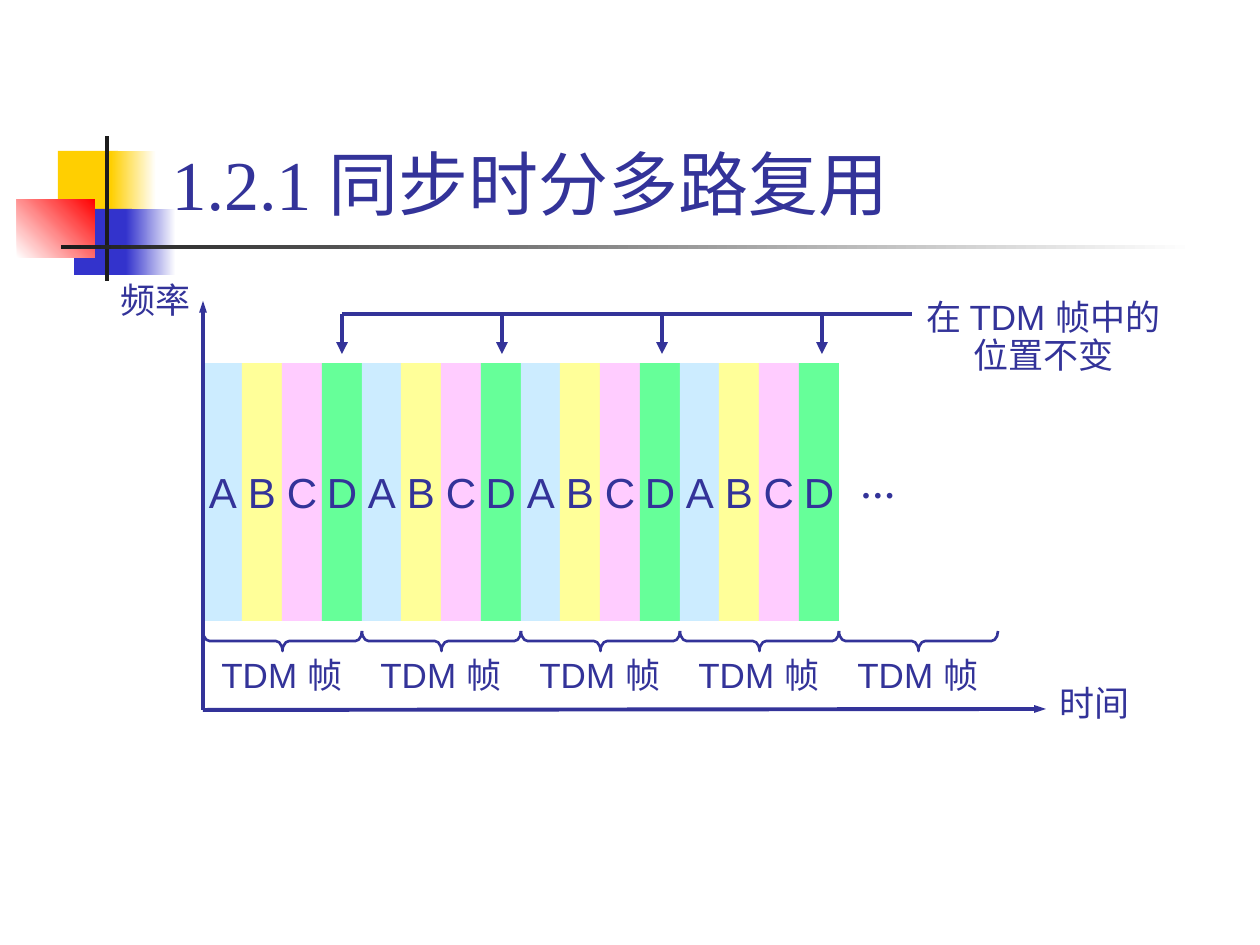
from dataclasses import dataclass

from pptx import Presentation, util as u
from pptx.dml.color import RGBColor
from pptx.enum import shapes, text
from pptx.oxml.ns import qn
from lxml import etree

SCALE = 914400 / 126


def px(*lengths):
    return [u.Emu(round(length * SCALE)) for length in lengths]


@dataclass(frozen=True)
class Theme:
    ink: str = "333399"
    dark: str = "1C1C1C"
    white: str = "FFFFFF"
    yellow: str = "FFCF01"
    blue: str = "3333CC"
    red: str = "FF0000"
    slots: tuple = (("A", "CCECFF"), ("B", "FFFF99"), ("C", "FFCCFF"), ("D", "66FF99"))
    serif: str = "Times New Roman"
    sans: str = "Arial"
    title_size: int = 40
    slot_size: int = 24
    label_size: int = 20
    line_width: float = 2.25
    brace_width: float = 1.5


def write_text(frame, content, *, font, size, color, align=text.PP_ALIGN.LEFT,
               anchor=text.MSO_ANCHOR.TOP, spacing=1.0, bold=False, wrap=False):
    frame.word_wrap = wrap
    frame.auto_size = text.MSO_AUTO_SIZE.NONE
    frame.vertical_anchor = anchor
    frame.text = content
    for paragraph in frame.paragraphs:
        paragraph.alignment = align
        paragraph.line_spacing = spacing
        for run in paragraph.runs:
            run.font.name = font
            run.font.size = u.Pt(size)
            run.font.bold = bold
            run.font.color.rgb = RGBColor.from_string(color)


class SlideBuilder:
    def __init__(self, slide, theme):
        self.slide = slide
        self.theme = theme

    def title(self, content, *box):
        shape = self.slide.shapes.title
        shape.left, shape.top, shape.width, shape.height = px(*box)
        write_text(shape.text_frame, content, font=self.theme.serif,
                   size=self.theme.title_size, color=self.theme.ink,
                   anchor=text.MSO_ANCHOR.BOTTOM, wrap=True)

    def block(self, *box, colors, angle=0):
        shape = self.slide.shapes.add_shape(shapes.MSO_SHAPE.RECTANGLE, *px(*box))
        shape.shadow.inherit = False
        shape.line.fill.background()
        if len(colors) == 1:
            shape.fill.solid()
            shape.fill.fore_color.rgb = RGBColor.from_string(colors[0])
        else:
            shape.fill.gradient()
            shape.fill.gradient_angle = angle
            for stop, color in zip(shape.fill.gradient_stops, colors):
                stop.color.rgb = RGBColor.from_string(color)
        return shape

    def slot(self, letter, color, *box):
        shape = self.block(*box, colors=[color])
        write_text(shape.text_frame, letter, font=self.theme.sans,
                   size=self.theme.slot_size, color=self.theme.ink,
                   align=text.PP_ALIGN.CENTER, anchor=text.MSO_ANCHOR.MIDDLE)

    def label(self, content, *box, **style):
        style = {"font": self.theme.sans, "spacing": 0.9, **style}
        shape = self.slide.shapes.add_textbox(*px(*box))
        write_text(shape.text_frame, content, size=self.theme.label_size,
                   color=self.theme.ink, **style)

    def line(self, *ends, head_width=None):
        connector = self.slide.shapes.add_connector(shapes.MSO_CONNECTOR.STRAIGHT, *px(*ends))
        connector.line.width = u.Pt(self.theme.line_width)
        connector.line.color.rgb = RGBColor.from_string(self.theme.ink)
        properties = connector._element.spPr
        if head_width:
            etree.SubElement(properties.find(qn("a:ln")), qn("a:tailEnd"),
                             type="triangle", w=head_width, len="med")
        etree.SubElement(properties, qn("a:effectLst"))

    def brace(self, left, top, width, height):
        box = (left + (width - height) / 2, top - (width - height) / 2, height, width)
        shape = self.slide.shapes.add_shape(shapes.MSO_SHAPE.LEFT_BRACE, *px(*box))
        shape.rotation = 270
        shape.adjustments[0] = 0.33
        shape.shadow.inherit = False
        shape.fill.background()
        shape.line.width = u.Pt(self.theme.brace_width)
        shape.line.color.rgb = RGBColor.from_string(self.theme.ink)


def draw_decoration(builder):
    theme = builder.theme
    builder.block(58, 151, 60, 66, colors=[theme.yellow])
    builder.block(111, 151, 45, 66, colors=[theme.yellow, theme.white])
    builder.block(74, 209, 58, 66, colors=[theme.blue])
    builder.block(126, 209, 50, 66, colors=[theme.blue, theme.white])
    builder.block(17, 199, 78, 59, colors=[theme.white, theme.red], angle=45)
    builder.block(105, 136, 4, 145, colors=[theme.dark])
    builder.block(61, 245, 1134, 4, colors=[theme.dark, theme.white])


def draw_frames(builder, left=203, frame_width=159, frames=4):
    slots = builder.theme.slots
    for frame in range(frames):
        for index, (letter, color) in enumerate(slots):
            offset = frame_width * (frame * len(slots) + index) // len(slots)
            builder.slot(letter, color, left + offset, 363, 40, 258)
        arrow = 342 + 160 * frame
        builder.line(arrow, 314, arrow, 354, head_width="med")
    for frame in range(frames + 1):
        frame_left = left + frame_width * frame
        builder.brace(frame_left, 631, frame_width, 20)
        builder.label("TDM 帧", frame_left + 6, 652, 154, 50)


def main():
    theme = Theme()
    presentation = Presentation()
    presentation.slide_width, presentation.slide_height = px(1260, 945)
    slide = presentation.slides.add_slide(presentation.slide_layouts[5])
    builder = SlideBuilder(slide, theme)

    draw_decoration(builder)
    builder.title("1.2.1 同步时分多路复用", 159, 29, 1003, 202)
    draw_frames(builder)
    builder.line(342, 314, 912, 314)
    builder.line(203, 710, 1046, 709, head_width="sm")
    builder.line(203, 710, 203, 301, head_width="sm")
    builder.label("频率", 108, 277, 95, 50, font=theme.serif)
    builder.label("时间", 1047, 680, 95, 50, font=theme.serif)
    builder.label("在 TDM 帧中的\n位置不变", 901, 294, 285, 88, align=text.PP_ALIGN.CENTER)
    builder.label("…", 848, 457, 60, 54, font=theme.serif, spacing=1.0, bold=True)
    presentation.save("out.pptx")


if __name__ == "__main__":
    main()
